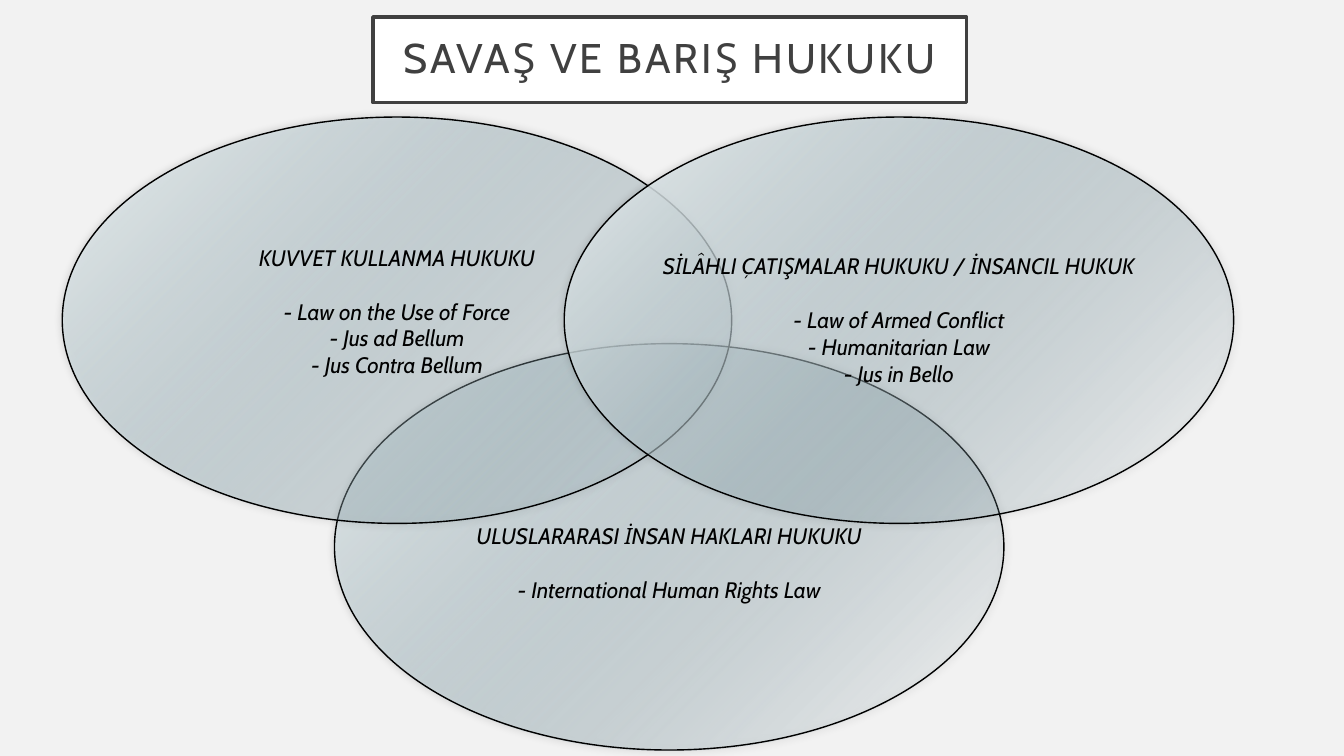
from lxml import etree
from pptx import Presentation
from pptx.dml.color import RGBColor
from pptx.enum.shapes import MSO_SHAPE as Preset
from pptx.enum.text import MSO_ANCHOR as Anchor, PP_ALIGN as Align
from pptx.oxml.ns import qn
from pptx.util import Cm, Pt

FONT = "Cabin"
OVAL_WIDTH, OVAL_HEIGHT = 16.87, 10.24
LINE_HEIGHT = 0.68
GRADIENT = [(0, "C1D1D6", 100), (5, "70939F", 0), (100, "EBF0F1", 100)]

FIELDS = [
    (8.43, 8.66, 4.37, 11.28, "ULUSLARARASI İNSAN HAKLARI HUKUKU",
     ["International Human Rights Law"]),
    (1.57, 2.95, 3.07, 11.28, "KUVVET KULLANMA HUKUKU",
     ["Law on the Use of Force", "Jus ad Bellum", "Jus Contra Bellum"]),
    (14.22, 2.95, 3.28, 13.31, "SİLÂHLI ÇATIŞMALAR HUKUKU / İNSANCIL HUKUK",
     ["Law of Armed Conflict", "Humanitarian Law", "Jus in Bello"]),
]


def color(value):
    return RGBColor.from_string(value)


def add_color(parent, value, opacity):
    tint = etree.SubElement(parent, qn("a:srgbClr"), val=value)
    etree.SubElement(tint, qn("a:alpha"), val=str(opacity * 1000))


def style_font(font, size, value, italic=False):
    font.name = FONT
    font.size = Pt(size)
    font.italic = italic
    font.color.rgb = color(value)


def add_oval(slide, left, top):
    oval = slide.shapes.add_shape(
        Preset.OVAL, Cm(left), Cm(top), Cm(OVAL_WIDTH), Cm(OVAL_HEIGHT))
    oval.line.color.rgb = color("000000")
    oval.line.width = Pt(1)
    oval.fill.gradient()
    oval.fill.gradient_angle = 135
    stops = next(oval.element.iter(qn("a:gsLst")))
    for stop in list(stops):
        stops.remove(stop)
    for position, value, opacity in GRADIENT:
        stop = etree.SubElement(stops, qn("a:gs"), pos=str(position * 1000))
        add_color(stop, value, opacity)
    oval.shadow.inherit = False
    effects = next(oval.element.iter(qn("a:effectLst")))
    glow = etree.SubElement(effects, qn("a:outerShdw"), blurRad=str(Pt(6)),
                            dist="0", dir="18900000", rotWithShape="0")
    add_color(glow, "000000", 20)


def add_field(slide, left, top, label_top, label_width, heading, terms):
    add_oval(slide, left, top)
    label_height = LINE_HEIGHT * (len(terms) + 2) + 0.25
    label = slide.shapes.add_textbox(
        Cm(left + (OVAL_WIDTH - label_width) / 2), Cm(top + label_top),
        Cm(label_width), Cm(label_height)).text_frame
    label.word_wrap = True
    label.text = "\n".join([heading] + [f"- {term}" for term in terms])
    for paragraph in label.paragraphs:
        paragraph.alignment = Align.CENTER
        style_font(paragraph.font, 16, "000000", italic=True)
    label.paragraphs[1].space_before = Cm(LINE_HEIGHT)


def add_title(slide, left, top, width, height):
    title = slide.shapes.add_shape(
        Preset.RECTANGLE, Cm(left), Cm(top), Cm(width), Cm(height))
    title.shadow.inherit = False
    title.fill.solid()
    title.fill.fore_color.rgb = color("FFFFFF")
    title.line.color.rgb = color("404040")
    title.line.width = Pt(2.5)
    frame = title.text_frame
    frame.margin_left = frame.margin_right = Cm(0.5)
    frame.margin_top = frame.margin_bottom = Cm(0.5)
    frame.vertical_anchor = Anchor.MIDDLE
    frame.word_wrap = True
    frame.text = "SAVAŞ VE BARIŞ HUKUKU"
    paragraph = frame.paragraphs[0]
    paragraph.alignment = Align.CENTER
    paragraph.line_spacing = 0.9
    style_font(paragraph.font, 29.6, "404040")
    for run in title.element.iter(qn("a:r")):
        run.get_or_add_rPr().set("spc", "200")


def main():
    deck = Presentation()
    deck.slide_width, deck.slide_height = Cm(33.87), Cm(19.05)
    slide = deck.slides.add_slide(deck.slide_layouts[6])
    slide.background.fill.solid()
    slide.background.fill.fore_color.rgb = color("F2F2F2")
    for field in FIELDS:
        add_field(slide, *field)
    add_title(slide, 9.4, 0.43, 14.96, 2.16)
    deck.save("out.pptx")


if __name__ == "__main__":
    main()
